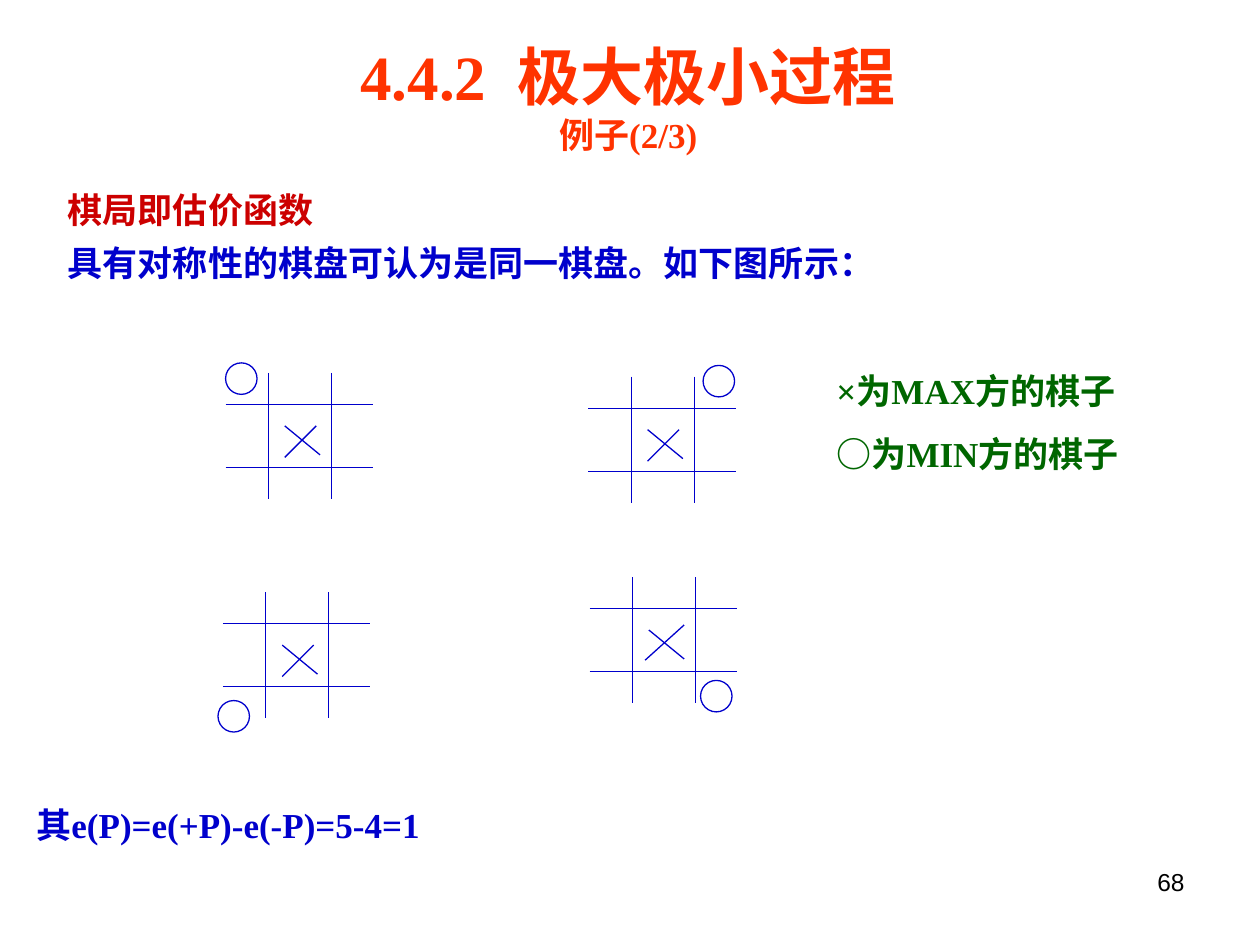
from lxml.etree import SubElement
from pptx import Presentation
from pptx.dml.color import RGBColor
from pptx.enum.shapes import MSO_CONNECTOR, MSO_SHAPE
from pptx.enum.text import PP_ALIGN
from pptx.oxml.ns import qn
from pptx.util import Inches, Pt

BLUE = RGBColor(0x00, 0x00, 0xCC)
RED = RGBColor(0xCC, 0x00, 0x00)
ORANGE = RGBColor(0xFF, 0x33, 0x00)
GREEN = RGBColor(0x00, 0x66, 0x00)
BLACK = RGBColor(0x00, 0x00, 0x00)
WHITE = RGBColor(0xFF, 0xFF, 0xFF)

CELL = 0.5
ROW_WIDTH = 1.17
PIECE = 0.25
RISING = (0.72, 0.42, 0.47, 0.67)
FALLING = (0.47, 0.42, 0.75, 0.65)


class SlideBuilder:
    font = "Times New Roman"
    line_width = Pt(0.75)

    def __init__(self, slide):
        self.s = slide

    def text(self, box, lines, align=PP_ALIGN.LEFT, spacing=None, before=0,
             indent=0, font=font, bold=True, fill=None):
        sp = self.s.shapes.add_textbox(*map(Inches, box))
        if fill is not None:
            sp.fill.solid()
            sp.fill.fore_color.rgb = fill
        tf = sp.text_frame
        tf.word_wrap = True
        for i, (content, size, color) in enumerate(lines):
            p = tf.add_paragraph() if i else tf.paragraphs[0]
            p.text = content
            p.alignment = align
            if spacing:
                p.line_spacing = spacing
            if i and before:
                p.space_before = Pt(before)
            if indent:
                p._p.get_or_add_pPr().set("marL", str(Inches(indent)))
            p.font.name = font
            p.font.size = Pt(size)
            p.font.bold = bold
            p.font.color.rgb = color

    def line(self, group, x1, y1, x2, y2):
        c = group.shapes.add_connector(
            MSO_CONNECTOR.STRAIGHT, *map(Inches, (x1, y1, x2, y2)))
        c.line.color.rgb = BLUE
        c.line.width = self.line_width
        SubElement(c._element.spPr, qn("a:effectLst"))

    def circle(self, group, x, y):
        sp = group.shapes.add_shape(
            MSO_SHAPE.OVAL, *map(Inches, (x, y, PIECE, PIECE)))
        sp.shadow.inherit = False
        sp.fill.background()
        sp.line.color.rgb = BLUE
        sp.line.width = self.line_width

    def board(self, x, y, piece, rising=RISING):
        group = self.s.shapes.add_group_shape()
        for i in range(2):
            row = y + CELL / 2 + i * CELL
            column = x + 0.34 + i * CELL
            self.line(group, x, row, x + ROW_WIDTH, row)
            self.line(group, column, y, column, y + 2 * CELL)
        for x1, y1, x2, y2 in (rising, FALLING):
            self.line(group, x + x1, y + y1, x + x2, y + y2)
        self.circle(group, *piece)


def main():
    prs = Presentation()
    prs.slide_width, prs.slide_height = Inches(10), Inches(7.5)
    b = SlideBuilder(prs.slides.add_slide(prs.slide_layouts[6]))

    b.text((7.17, 6.83, 2.33, 0.52), [("68", 14, BLACK)],
           align=PP_ALIGN.RIGHT, font="Arial", bold=False)
    b.text((0.19, 1.43, 9.45, 0.87),
           [("棋局即估价函数", 20, RED),
            ("具有对称性的棋盘可认为是同一棋盘。如下图所示：", 20, BLUE)],
           align=PP_ALIGN.JUSTIFY, spacing=1.05, before=5, indent=0.25, fill=WHITE)
    b.text((0.19, 6.31, 9.49, 0.45),
           [("其e(P)=e(+P)-e(-P)=5-4=1", 20, BLUE)], spacing=1.05)
    b.text((0.24, 0.25, 9.49, 1.04),
           [("4.4.2  极大极小过程", 36, ORANGE), ("例子(2/3)", 20, ORANGE)],
           align=PP_ALIGN.CENTER)

    b.board(1.79, 2.96, (1.79, 2.88))
    b.board(4.67, 2.99, (5.58, 2.9))
    b.board(1.77, 4.7, (1.73, 5.56))
    b.board(4.68, 4.58, (5.56, 5.4), rising=(0.75, 0.38, 0.44, 0.66))

    b.text((6.54, 2.88, 3.03, 0.94),
           [("×为MAX方的棋子", 20, GREEN), ("○为MIN方的棋子", 20, GREEN)], before=12.5)

    prs.save("out.pptx")


if __name__ == "__main__":
    main()
